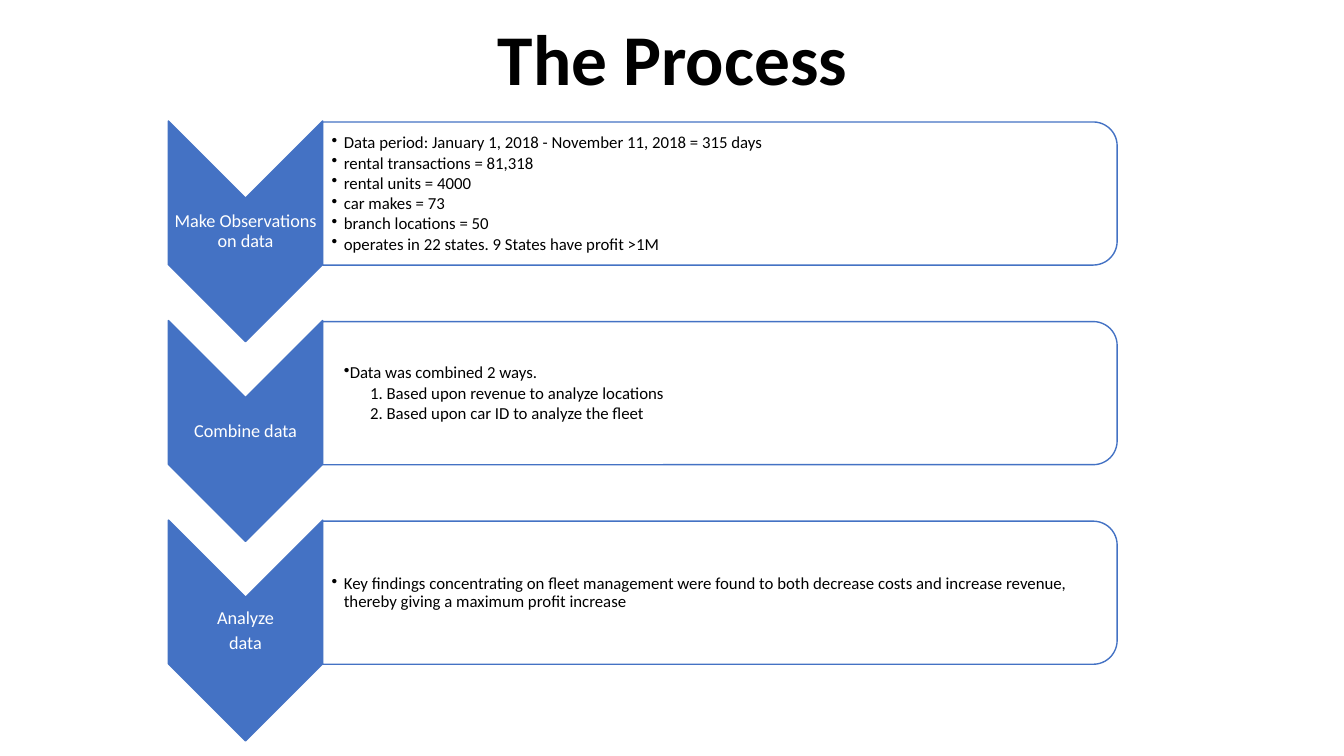
from lxml import etree
from pptx import Presentation
from pptx.dml.color import RGBColor
from pptx.enum.shapes import MSO_SHAPE
from pptx.enum.text import MSO_ANCHOR, MSO_AUTO_SIZE, PP_ALIGN
from pptx.oxml.ns import qn
from pptx.util import Inches, Pt

CHEVRON = MSO_SHAPE.CHEVRON
ROUNDED_PANEL = MSO_SHAPE.ROUND_2_SAME_RECTANGLE
MIDDLE, BOTTOM = MSO_ANCHOR.MIDDLE, MSO_ANCHOR.BOTTOM
CENTER, LEFT = PP_ALIGN.CENTER, PP_ALIGN.LEFT
NO_AUTOFIT = MSO_AUTO_SIZE.NONE

BLUE = RGBColor(0x44, 0x72, 0xC4)
WHITE = RGBColor(0xFF, 0xFF, 0xFF)
BLACK = RGBColor(0x00, 0x00, 0x00)
FONT = "Calibri"

FIRST_TOP, STEP_PITCH = 1.2, 1.98
CHEVRON_LEFT, CHEVRON_WIDTH, CHEVRON_HEIGHT = 1.67, 1.53, 2.19
PANEL_LEFT, PANEL_WIDTH, PANEL_HEIGHT = 3.2, 7.88, 1.42

# Paragraph styles: left margin, first-line indent, bullet
BULLET = (0.12, -0.12, True)
TIGHT_BULLET = (0.12, 0, True)
NUMBERED = (0.26, 0.12, False)

# Each step: label paragraphs, then detail paragraphs with their style
STEPS = [
    (["Make Observations on data"], [
        ("Data period: January 1, 2018 - November 11, 2018 = 315 days", BULLET),
        ("rental transactions = 81,318", BULLET),
        ("rental units = 4000", BULLET),
        ("car makes = 73", BULLET),
        ("branch locations = 50", BULLET),
        ("operates in 22 states. 9 States have profit >1M", BULLET),
    ]),
    (["Combine data"], [
        ("Data was combined 2 ways.", TIGHT_BULLET),
        ("1. Based upon revenue to analyze locations", NUMBERED),
        ("2. Based upon car ID to analyze the fleet", NUMBERED),
    ]),
    (["Analyze", "data"], [
        ("Key findings concentrating on fleet management were found to both "
         "decrease costs and increase revenue, thereby giving a maximum "
         "profit increase", BULLET),
    ]),
]


def add_run(paragraph, text, size, color, bold=False):
    run = paragraph.add_run()
    run.text = text
    run.font.name = FONT
    run.font.size = Pt(size)
    run.font.bold = bold
    run.font.color.rgb = color


def add_title(slide, text):
    title = slide.shapes.title
    title.left, title.top = Inches(1.67), Inches(0)
    title.width, title.height = Inches(10), Inches(1.05)
    frame = title.text_frame
    frame.auto_size = NO_AUTOFIT
    frame.vertical_anchor = BOTTOM
    paragraph = frame.paragraphs[0]
    paragraph.alignment = CENTER
    paragraph.line_spacing = 0.9
    add_run(paragraph, text, 51, BLACK, bold=True)


def add_turned_shape(slide, kind, left, top, width, height, fill, opacity=100):
    """Add a shape turned by 90 degrees; the bounds are those after turning."""
    shift = (width - height) / 2
    shape = slide.shapes.add_shape(
        kind, Inches(left + shift), Inches(top - shift),
        Inches(height), Inches(width))
    shape.rotation = 90
    shape.shadow.inherit = False
    shape.fill.solid()
    shape.fill.fore_color.rgb = fill
    shape.line.color.rgb = BLUE
    shape.line.width = Pt(1)
    if opacity < 100:
        color = shape.fill._xPr.find(qn("a:solidFill"))[0]
        etree.SubElement(color, qn("a:alpha"), val=str(opacity * 1000))


def add_text_frame(slide, left, top, width, height, left_inset=0.01):
    box = slide.shapes.add_textbox(
        Inches(left), Inches(top), Inches(width), Inches(height))
    frame = box.text_frame
    frame.word_wrap = True
    frame.auto_size = NO_AUTOFIT
    frame.vertical_anchor = MIDDLE
    frame.margin_left = Inches(left_inset)
    frame.margin_top = frame.margin_right = frame.margin_bottom = Inches(0.01)
    return frame


def add_paragraph(frame, index, text, size, color, alignment, space_after):
    paragraph = frame.add_paragraph() if index else frame.paragraphs[0]
    paragraph.alignment = alignment
    paragraph.line_spacing = 0.9
    paragraph.space_after = Pt(space_after)
    add_run(paragraph, text, size, color)
    return paragraph


def set_list_style(paragraph, margin, indent, bulleted):
    paragraph.level = 1
    properties = paragraph._p.get_or_add_pPr()
    properties.set("marL", str(Inches(margin)))
    properties.set("indent", str(Inches(indent)))
    if bulleted:
        etree.SubElement(properties, qn("a:buChar"), char="\u2022")
    else:
        etree.SubElement(properties, qn("a:buNone"))


def add_step(slide, top, label, details):
    # Chevron and its label
    add_turned_shape(slide, CHEVRON, CHEVRON_LEFT, top,
                     CHEVRON_WIDTH, CHEVRON_HEIGHT, BLUE)
    frame = add_text_frame(slide, CHEVRON_LEFT, top + 0.77, CHEVRON_WIDTH, 0.66)
    for index, text in enumerate(label):
        add_paragraph(frame, index, text, 13, WHITE, CENTER, 4.3)

    # Panel and its details
    add_turned_shape(slide, ROUNDED_PANEL, PANEL_LEFT, top + 0.01,
                     PANEL_WIDTH, PANEL_HEIGHT, WHITE, opacity=90)
    frame = add_text_frame(slide, PANEL_LEFT, top + 0.08, 7.81, 1.29,
                           left_inset=0.09)
    for index, (text, style) in enumerate(details):
        paragraph = add_paragraph(frame, index, text, 12, BLACK, LEFT, 1.5)
        set_list_style(paragraph, *style)


def main():
    presentation = Presentation()
    presentation.slide_width = Inches(13.33)
    presentation.slide_height = Inches(7.5)
    slide = presentation.slides.add_slide(presentation.slide_layouts[0])

    # Title; the subtitle is not needed
    add_title(slide, "The Process")
    subtitle = slide.placeholders[1].element
    subtitle.getparent().remove(subtitle)

    # Process steps
    for index, (label, details) in enumerate(STEPS):
        add_step(slide, FIRST_TOP + index * STEP_PITCH, label, details)

    presentation.save("out.pptx")


main()
